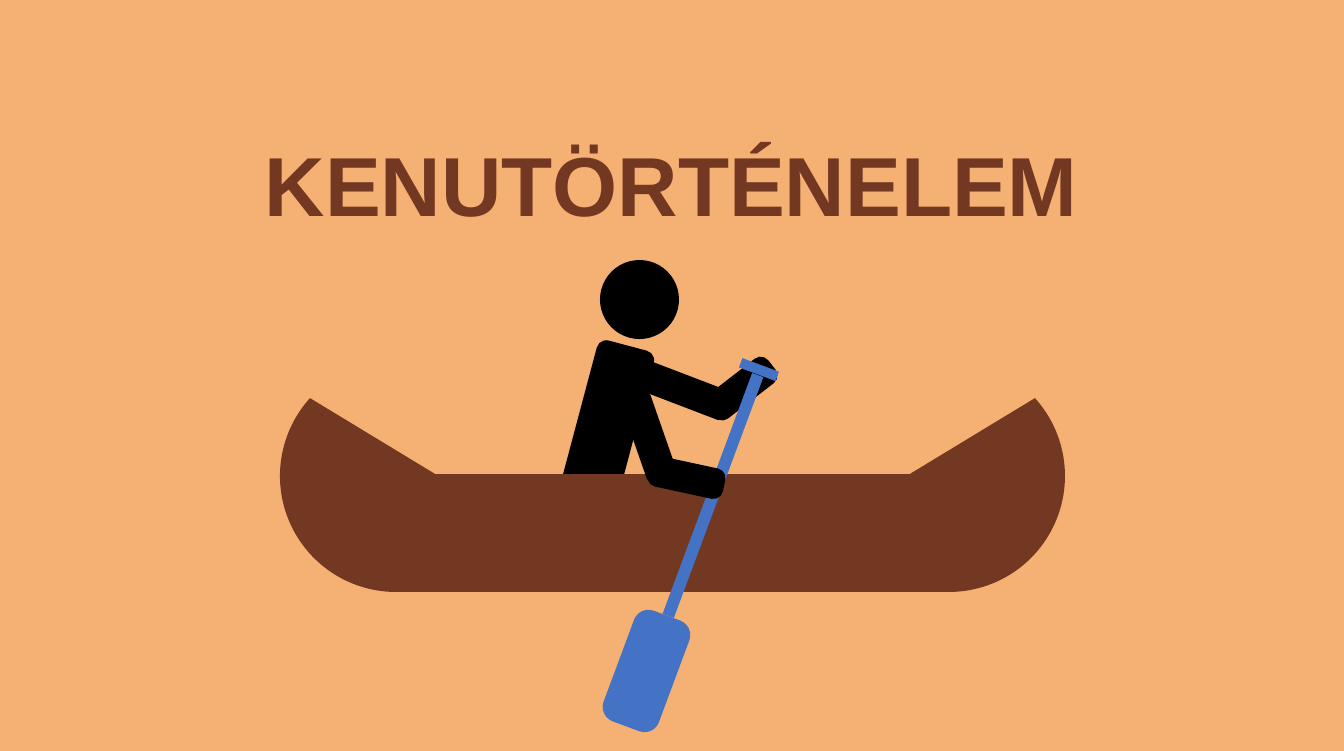
"""Build the canoe history title slide."""
from dataclasses import dataclass

from pptx import Presentation
from pptx.dml.color import RGBColor
from pptx.enum.shapes import MSO_SHAPE
from pptx.enum.text import MSO_ANCHOR, MSO_AUTO_SIZE, PP_ALIGN
from pptx.util import Emu, Pt

RECT = MSO_SHAPE.RECTANGLE
ROUND = MSO_SHAPE.ROUNDED_RECTANGLE
OVAL = MSO_SHAPE.OVAL
CHORD = MSO_SHAPE.CHORD
MIDDLE = MSO_ANCHOR.MIDDLE
CENTER = PP_ALIGN.CENTER
NO_FIT = MSO_AUTO_SIZE.NONE


@dataclass(frozen=True)
class Theme:
    sand: str = "F5B173"
    wood: str = "733822"
    skin: str = "000000"
    oar: str = "4472C4"
    font: str = "Arial"
    size: int = 60


THEME = Theme()
SCALE = 914400 / 100.4
SIZE = (1344, 751)
TITLE = "KENUTÖRTÉNELEM"
TITLE_BOX = (251, 133, 841, 113)

HULL = (396, 474, 553, 118)
END = 232
TILT = 24.7
TURN = 216
ARC = (27, 148.12)
MIRROR = tuple((TURN / 2 - a) % TURN for a in reversed(ARC))

UPPER = (31, 118)
LOWER = (31, 77)
BEND = (0.31,)


def ends():
    """Place the two curled ends around the corners of the hull."""
    left, top, wide, high = HULL
    y = top + high - END
    return [
        (CHORD, (x - END // 2, y, END, END), turn, THEME.wood, arc)
        for x, turn, arc in ((left, -TILT, ARC), (left + wide, TILT, MIRROR))
    ]


PARTS = [
    (ROUND, (657, 327, *UPPER), 290.9, THEME.skin, ()),
    (ROUND, (726, 350, *LOWER), 232.3, THEME.skin, BEND),
    (ROUND, (578, 343, 59, 158), 14.9, THEME.skin, ()),
    (RECT, HULL, 0, THEME.wood, ()),
    (ROUND, (617, 612, 59, 118), 20.4, THEME.oar, (0.26,)),
    (RECT, (707, 367, 12, 257), 20.4, THEME.oar, ()),
    (RECT, (754, 350, 10, 39), 290.4, THEME.oar, ()),
    *ends(),
    (OVAL, (600, 260, 79, 79), 0, THEME.skin, ()),
    (ROUND, (628, 363, *UPPER), 340.8, THEME.skin, ()),
    (ROUND, (671, 439, *LOWER), 282.2, THEME.skin, BEND),
]


def px(n):
    """Turn px into EMU."""
    return Emu(round(n * SCALE))


def paint(fill, tone):
    """Give a fill one solid colour."""
    fill.solid()
    fill.fore_color.rgb = RGBColor.from_string(tone)


def draw(group, kind, box, turn, tone, bends):
    """Add one part of the canoe or its paddler."""
    shape = group.shapes.add_shape(kind, *map(px, box))
    shape.shadow.inherit = False
    shape.rotation = turn
    paint(shape.fill, tone)
    shape.line.fill.background()
    for i, bend in enumerate(bends):
        shape.adjustments[i] = bend


def head(slide):
    """Set the title text and its format."""
    title = slide.shapes.title
    title.left, title.top, title.width, title.height = map(px, TITLE_BOX)
    frame = title.text_frame
    frame.word_wrap = True
    frame.auto_size = NO_FIT
    frame.vertical_anchor = MIDDLE
    para = frame.paragraphs[0]
    para.alignment = CENTER
    para.line_spacing = 0.9
    run = para.add_run()
    run.text = TITLE
    run.font.name = THEME.font
    run.font.size = Pt(THEME.size)
    run.font.bold = True
    run.font.color.rgb = RGBColor.from_string(THEME.wood)


def main():
    """Make the deck and save it."""
    deck = Presentation()
    deck.slide_width, deck.slide_height = map(px, SIZE)
    slide = deck.slides.add_slide(deck.slide_layouts.get_by_name("Title Only"))
    paint(slide.background.fill, THEME.sand)
    head(slide)
    group = slide.shapes.add_group_shape()
    for part in PARTS:
        draw(group, *part)
    deck.save("out.pptx")


if __name__ == "__main__":
    main()
